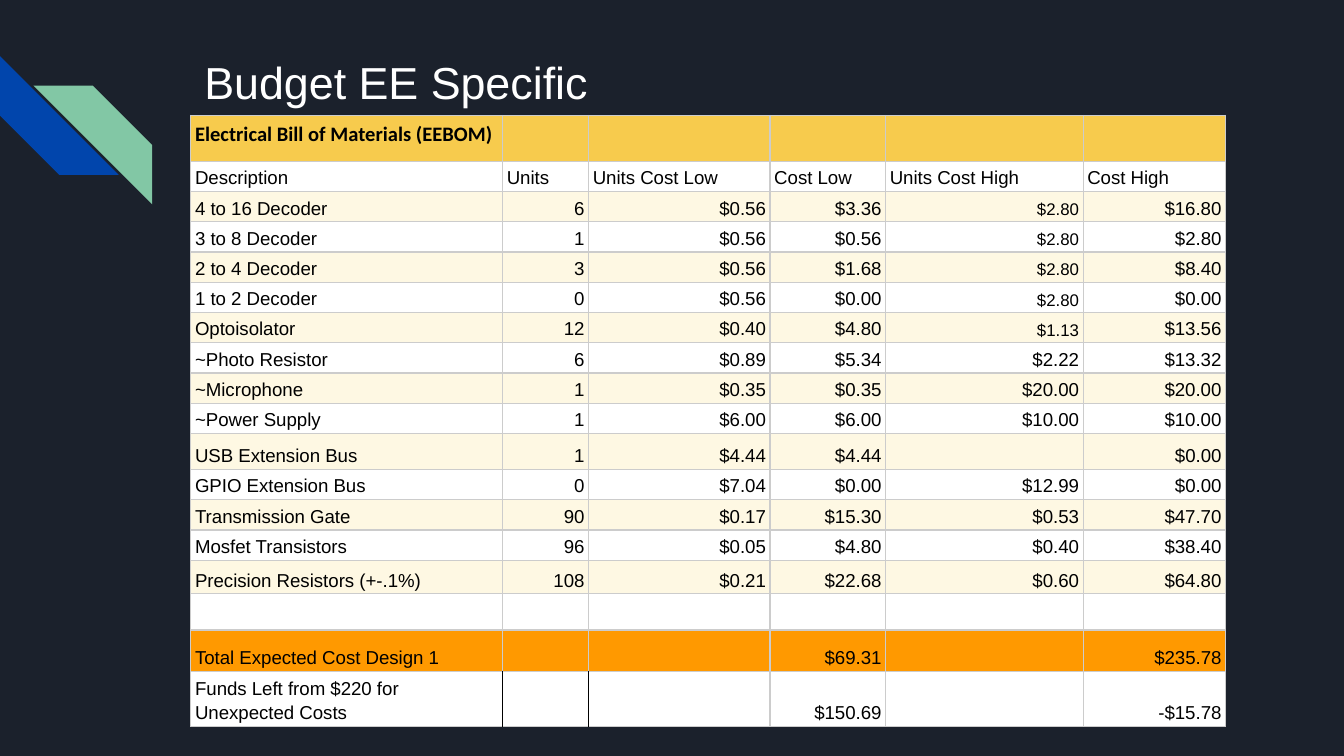
from lxml import etree
from pptx import Presentation
from pptx import util as u
from pptx.dml.color import RGBColor
from pptx.enum import shapes, text
from pptx.oxml.ns import qn

GRID = "CCCCCC"
INK = "000000"
HEADING = "Electrical Bill of Materials (EEBOM)"
COLUMN_WIDTHS = [167.04, 46.08, 97.2, 61.92, 105.84, 76.32]
ROW_HEIGHTS = [24.6] + [16.2] * 9 + [19.4] + [16.2] * 3 + [18, 19.4, 22.3, 29.5]
SMALL_PRICE_ROWS = range(2, 7)
ROWS = [
    (HEADING, "", "", "", "", ""),
    ("Description", "Units", "Units Cost Low", "Cost Low", "Units Cost High", "Cost High"),
    ("4 to 16 Decoder", "6", "$0.56", "$3.36", "$2.80", "$16.80"),
    ("3 to 8 Decoder", "1", "$0.56", "$0.56", "$2.80", "$2.80"),
    ("2 to 4 Decoder", "3", "$0.56", "$1.68", "$2.80", "$8.40"),
    ("1 to 2 Decoder", "0", "$0.56", "$0.00", "$2.80", "$0.00"),
    ("Optoisolator", "12", "$0.40", "$4.80", "$1.13", "$13.56"),
    ("~Photo Resistor", "6", "$0.89", "$5.34", "$2.22", "$13.32"),
    ("~Microphone", "1", "$0.35", "$0.35", "$20.00", "$20.00"),
    ("~Power Supply", "1", "$6.00", "$6.00", "$10.00", "$10.00"),
    ("USB Extension Bus", "1", "$4.44", "$4.44", "", "$0.00"),
    ("GPIO Extension Bus", "0", "$7.04", "$0.00", "$12.99", "$0.00"),
    ("Transmission Gate", "90", "$0.17", "$15.30", "$0.53", "$47.70"),
    ("Mosfet Transistors", "96", "$0.05", "$4.80", "$0.40", "$38.40"),
    ("Precision Resistors (+-.1%)", "108", "$0.21", "$22.68", "$0.60", "$64.80"),
    ("", "", "", "", "", ""),
    ("Total Expected Cost Design 1", "", "", "$69.31", "", "$235.78"),
    ("Funds Left from $220 for Unexpected Costs", "", "", "$150.69", "", "-$15.78"),
]
TOTAL_ROW = len(ROWS) - 2
FUNDS_ROW = len(ROWS) - 1


def paint(fill, color):
    """Give a fill one solid colour."""
    fill.solid()
    fill.fore_color.rgb = RGBColor.from_string(color)


def set_font(font, name, size, color, bold=False):
    """Set the face, size, colour and weight of a font."""
    font.name, font.size, font.bold = name, u.Pt(size), bold
    font.color.rgb = RGBColor.from_string(color)


def add_stripes(page, left, top, size):
    """Place the two crossing stripes, the second offset from the first."""
    stripes = [(0, 0, "0145AC", 270), (18, 15.84, "82C7A5", 0)]
    for across, down, color, rotation in stripes:
        stripe = page.shapes.add_shape(
            shapes.MSO_SHAPE.DIAGONAL_STRIPE,
            u.Pt(left + across), u.Pt(top + down), u.Pt(size), u.Pt(size))
        stripe.shadow.inherit = False
        stripe.adjustments[0] = 0.5
        stripe.rotation = rotation
        if not rotation:
            stripe.element.spPr.find(qn("a:xfrm")).set("flipH", "1")
        paint(stripe.fill, color)
        stripe.line.fill.background()


def add_title(page, left, top, width, height):
    """Move and format the title placeholder."""
    title = page.shapes.title
    title.left, title.top = u.Pt(left), u.Pt(top)
    title.width, title.height = u.Pt(width), u.Pt(height)
    frame = title.text_frame
    frame.word_wrap = True
    frame.auto_size = text.MSO_AUTO_SIZE.NONE
    frame.vertical_anchor = text.MSO_ANCHOR.TOP
    frame.margin_left = frame.margin_right = u.Pt(7.2)
    frame.margin_top = frame.margin_bottom = u.Pt(7.2)
    para = frame.paragraphs[0]
    para.text = "Budget EE Specific"
    para.alignment = text.PP_ALIGN.LEFT
    set_font(para.font, "Arial", 24, "FFFFFF")


def add_borders(cell, left, right):
    """Draw thin lines on all four sides of a cell."""
    properties = cell._tc.get_or_add_tcPr()
    for side, color in (("L", left), ("R", right), ("T", GRID), ("B", GRID)):
        line = etree.SubElement(properties, qn(f"a:ln{side}"), w=str(u.Pt(0.75)))
        solid = etree.SubElement(line, qn("a:solidFill"))
        etree.SubElement(solid, qn("a:srgbClr"), val=color)


def row_color(row):
    """Return the fill of a table row."""
    special = {0: "F7CB4D", TOTAL_ROW: "FF9900", FUNDS_ROW: "FFFFFF"}
    return special.get(row, "FFFFFF" if row % 2 else "FEF8E3")


def fill_cell(cell, row, column, words):
    """Write and format one cell of the cost table."""
    edges = [INK if row == FUNDS_ROW and edge in (1, 2) else GRID
             for edge in (column, column + 1)]
    add_borders(cell, *edges)
    paint(cell.fill, row_color(row))
    cell.margin_left = cell.margin_right = u.Pt(2.25)
    cell.margin_top = cell.margin_bottom = u.Pt(1.5)
    cell.vertical_anchor = text.MSO_ANCHOR.BOTTOM if row else text.MSO_ANCHOR.TOP
    para = cell.text_frame.paragraphs[0]
    para.text = words
    para.line_spacing = 1.15
    para.alignment = text.PP_ALIGN.RIGHT if row > 1 and column else text.PP_ALIGN.LEFT
    if row == 0:
        set_font(para.font, "Calibri", 11, INK, bold=True)
    else:
        small = row in SMALL_PRICE_ROWS and column == 4
        set_font(para.font, "Arial", 9 if small else 10, INK)
    if not words:
        etree.SubElement(para._p, qn("a:endParaRPr"), sz="1000")


def add_cost_table(page, left, top, width, height):
    """Place the bill of materials."""
    table = page.shapes.add_table(
        len(ROWS), len(COLUMN_WIDTHS),
        u.Pt(left), u.Pt(top), u.Pt(width), u.Pt(height)).table
    table.first_row = table.horz_banding = False
    for column, size in zip(table.columns, COLUMN_WIDTHS):
        column.width = u.Pt(size)
    for row, size in zip(table.rows, ROW_HEIGHTS):
        row.height = u.Pt(size)
    for row, entries in enumerate(ROWS):
        for column, words in enumerate(entries):
            fill_cell(table.cell(row, column), row, column, words)


def main():
    """Build the budget slide and save it."""
    deck = Presentation()
    deck.slide_width, deck.slide_height = u.Pt(720), u.Pt(405)
    page = deck.slides.add_slide(deck.slide_layouts[5])
    paint(page.background.fill, "1B212C")
    add_stripes(page, 0, 30.1, 63.6)
    add_title(page, 102.24, 22.32, 554.4, 39.6)
    add_cost_table(page, 102.24, 61.92, sum(COLUMN_WIDTHS), sum(ROW_HEIGHTS))
    deck.save("out.pptx")


if __name__ == "__main__":
    main()
